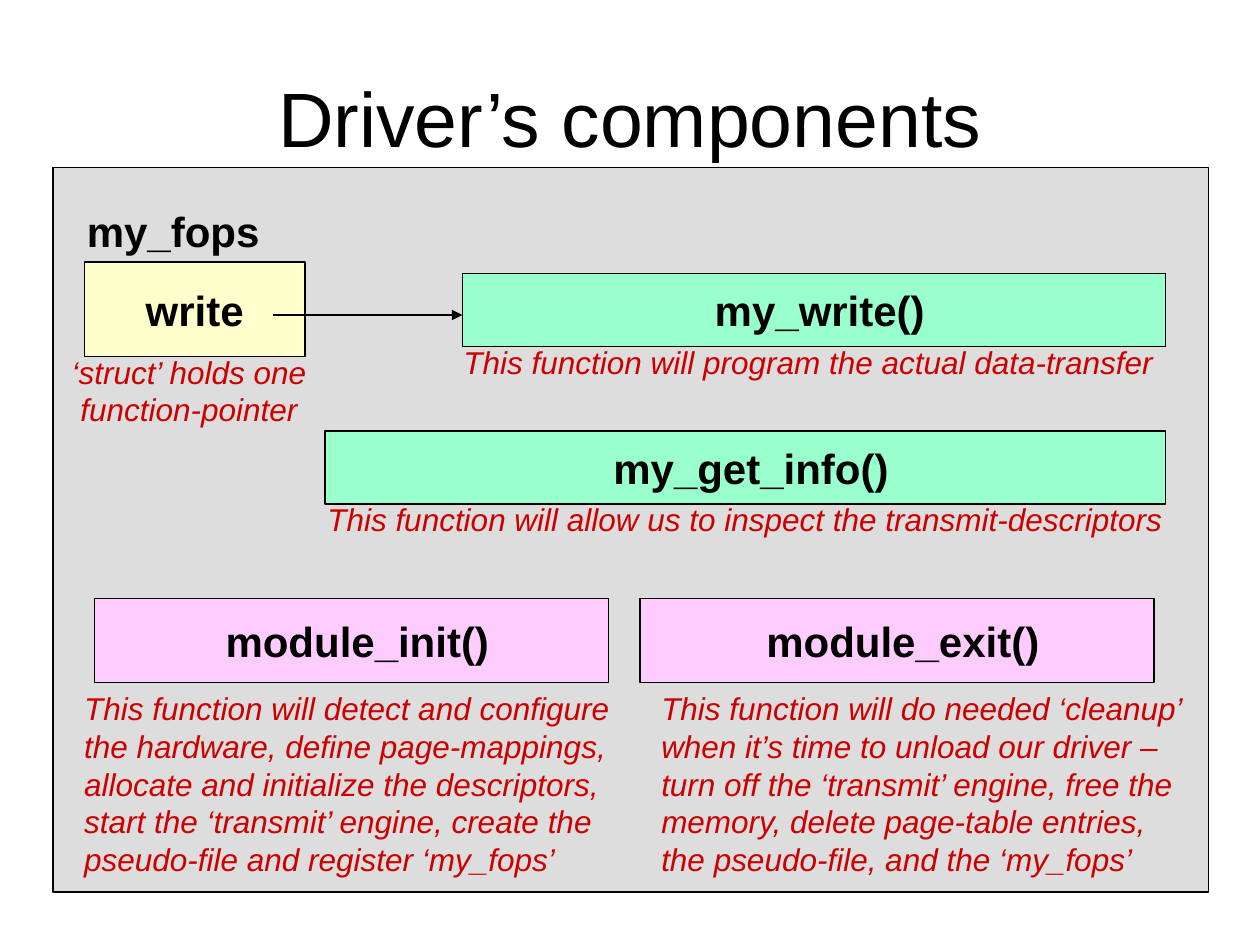
from dataclasses import dataclass

from lxml import etree
from pptx import Presentation
from pptx.dml.color import RGBColor
from pptx.enum import shapes, text
from pptx.oxml import ns
from pptx.util import Inches, Pt


@dataclass(frozen=True)
class Theme:
    font: str = "Arial"
    ink: str = "000000"
    note: str = "CC0000"
    panel: str = "DDDDDD"
    struct: str = "FFFFCC"
    function: str = "99FFCC"
    module: str = "FFCCFF"
    title_size: int = 44
    label_size: int = 24
    note_size: int = 18
    line_width: float = 0.75


theme = Theme()


def write_text(sp, content, size, color, align, bold=False, italic=False):
    tf = sp.text_frame
    tf.text = content
    tf.word_wrap = True
    for p in tf.paragraphs:
        p.alignment = align
        for r in p.runs:
            r.font.name = theme.font
            r.font.size = Pt(size)
            r.font.bold = bold
            r.font.italic = italic
            r.font.color.rgb = RGBColor.from_string(color)


def add_box(s, left, top, width, height, fill):
    sp = s.shapes.add_shape(shapes.MSO_SHAPE.RECTANGLE, Inches(left), Inches(top),
                            Inches(width), Inches(height))
    sp.shadow.inherit = False
    sp.fill.solid()
    sp.fill.fore_color.rgb = RGBColor.from_string(fill)
    sp.line.color.rgb = RGBColor.from_string(theme.ink)
    sp.line.width = Pt(theme.line_width)
    return sp


LEFT, CENTER = text.PP_ALIGN.LEFT, text.PP_ALIGN.CENTER

prs = Presentation()
prs.slide_width, prs.slide_height = Inches(10), Inches(7.5)
s = prs.slides.add_slide(prs.slide_layouts[5])

# Title
title = s.shapes.title
title.left, title.top = Inches(0.5), Inches(0.3)
title.width, title.height = Inches(9), Inches(1.25)
title.text_frame.vertical_anchor = text.MSO_ANCHOR.MIDDLE
write_text(title, "Driver’s components", theme.title_size, theme.ink, CENTER)

# Background panel
add_box(s, 0.42, 1.33, 9.17, 5.75, theme.panel)

# Explanations
notes = [
    ("This function will program the actual data-transfer", 3.58, 2.67, 5.9, 0.4, LEFT),
    ("This function will allow us to inspect the transmit-descriptors",
     2.5, 3.92, 7, 0.4, LEFT),
    ("‘struct’ holds one\nfunction-pointer", 0.36, 2.75, 2.28, 0.7, CENTER),
    ("This function will detect and configure\n"
     "the hardware, define page-mappings,\n"
     "allocate and initialize the descriptors,\n"
     "start the ‘transmit’ engine, create the\n"
     "pseudo-file and register ‘my_fops’", 0.57, 5.42, 4.5, 1.6, LEFT),
    ("This function will do needed ‘cleanup’\n"
     "when it’s time to unload our driver –\n"
     "turn off the ‘transmit’ engine, free the\n"
     "memory, delete page-table entries,\n"
     "the pseudo-file, and the ‘my_fops’", 5.15, 5.42, 4.5, 1.6, LEFT),
]
for content, left, top, width, height, align in notes:
    sp = s.shapes.add_textbox(Inches(left), Inches(top), Inches(width), Inches(height))
    write_text(sp, content, theme.note_size, theme.note, align, italic=True)

# Structure name
sp = s.shapes.add_textbox(Inches(0.59), Inches(1.58), Inches(1.75), Inches(0.5))
write_text(sp, "my_fops", theme.label_size, theme.ink, LEFT, bold=True)

# Components: function labels sit slightly right of centre
components = [
    ("write", 0.67, 2.08, 1.75, 0.75, theme.struct, 0.1),
    ("my_write()", 3.67, 2.17, 5.58, 0.58, theme.function, 0.19),
    ("my_get_info()", 2.58, 3.42, 6.67, 0.58, theme.function, 0.19),
    ("module_init()", 0.75, 4.75, 4.08, 0.67, theme.module, 0.19),
    ("module_exit()", 5.08, 4.75, 4.08, 0.67, theme.module, 0.19),
]
for name, left, top, width, height, fill, inset in components:
    sp = add_box(s, left, top, width, height, fill)
    sp.text_frame.margin_left = Inches(inset)
    sp.text_frame.vertical_anchor = text.MSO_ANCHOR.MIDDLE
    write_text(sp, name, theme.label_size, theme.ink, CENTER, bold=True)

# Pointer from the structure to its function
pointer = s.shapes.add_connector(shapes.MSO_CONNECTOR.STRAIGHT, Inches(2.17), Inches(2.5),
                                 Inches(3.67), Inches(2.5))
pointer.line.color.rgb = RGBColor.from_string(theme.ink)
pointer.line.width = Pt(theme.line_width)
ln = pointer.line._get_or_add_ln()
etree.SubElement(ln, ns.qn("a:tailEnd"), type="triangle")
etree.SubElement(pointer._element.spPr, ns.qn("a:effectLst"))

prs.save("out.pptx")
